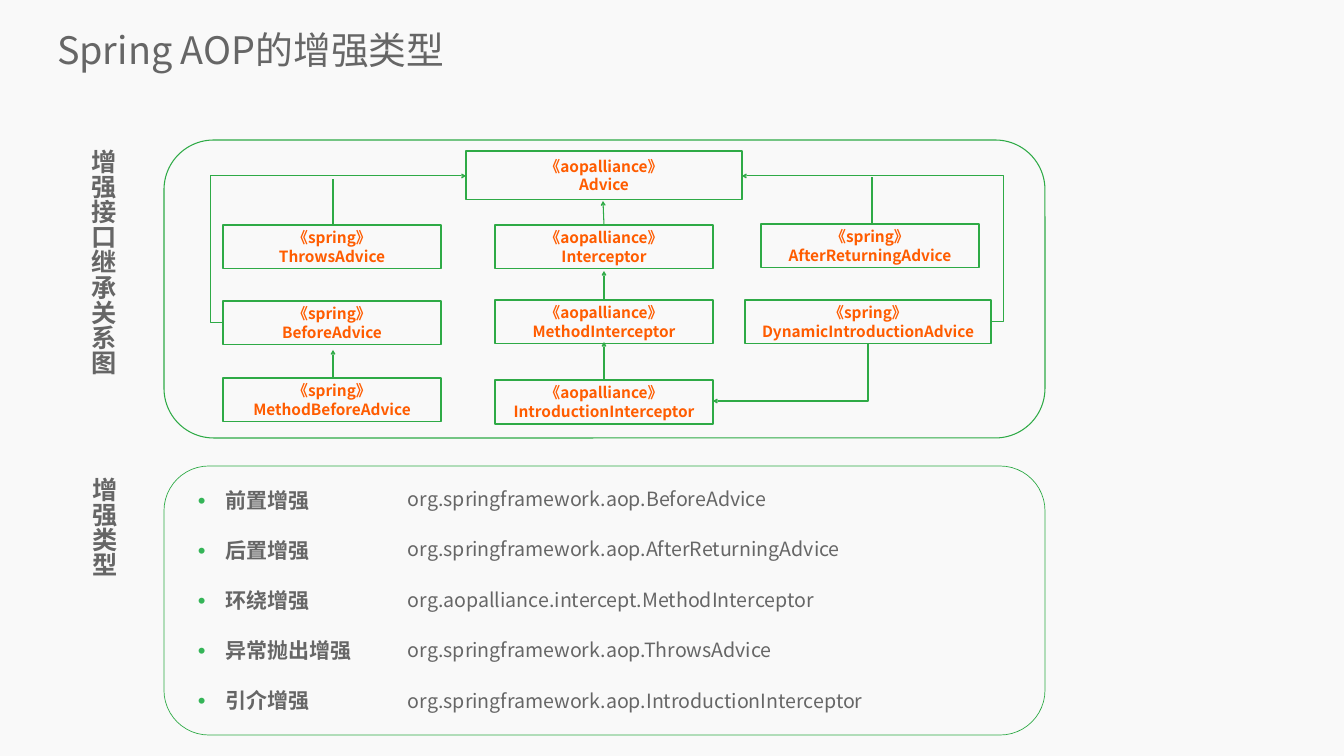
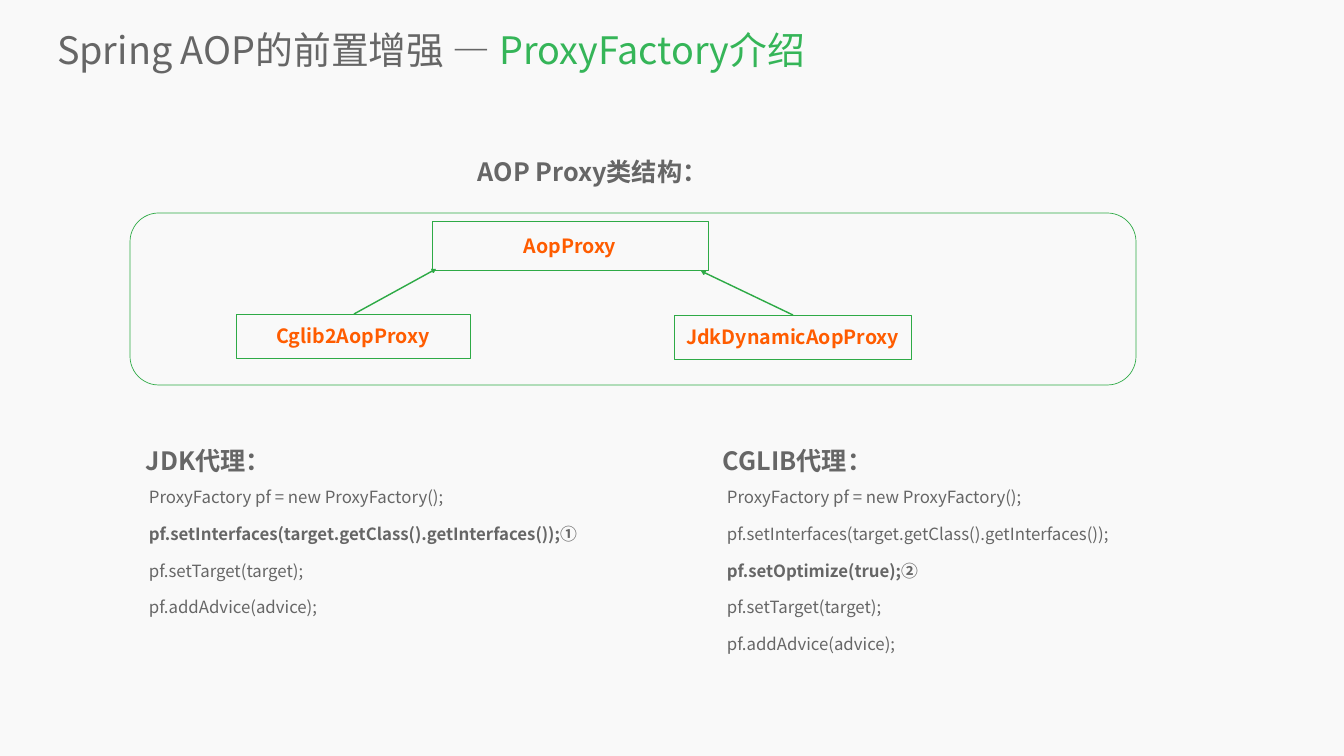
from lxml.etree import SubElement
from pptx import Presentation
from pptx.dml.color import RGBColor
from pptx.enum.shapes import MSO_CONNECTOR, MSO_SHAPE
from pptx.enum.text import MSO_ANCHOR, MSO_AUTO_SIZE, PP_ALIGN
from pptx.oxml.ns import qn
from pptx.util import Emu, Pt

SCALE = 914400 / 50.4  # EMU per pixel
FONT = "Noto Sans CJK SC"
COLORS = {"background": "F9F9F9", "text": "666666", "accent": "35B558",
          "line": "2EAA46", "label": "FF5C00"}
INDENT = 11  # left indent of body text

# Content of slide 1: (stereotype, name, left, top, width, height)
TYPES_TITLE = [("Spring AOP的增强类型", "text")]
ALLIANCE, SPRING = "《aopalliance》", "《spring》"
INTERFACES = [
    (ALLIANCE, "Advice", 466, 151, 276, 49),
    (SPRING, "ThrowsAdvice", 223, 225, 218, 44),
    (SPRING, "BeforeAdvice", 223, 301, 218, 44),
    (SPRING, "MethodBeforeAdvice", 223, 378, 218, 44),
    (ALLIANCE, "Interceptor", 495, 225, 218, 44),
    (ALLIANCE, "MethodInterceptor", 495, 300, 218, 44),
    (ALLIANCE, "IntroductionInterceptor", 495, 380, 218, 44),
    (SPRING, "AfterReturningAdvice", 761, 224, 218, 44),
    (SPRING, "DynamicIntroductionAdvice", 745, 300, 246, 44),
]
# Straight lines: (start, end, arrowhead)
INHERITANCE = [
    ((333, 225), (333, 179), None),
    ((333, 378), (333, 350), "tailEnd"),
    ((604, 225), (603, 201), "tailEnd"),
    ((604, 300), (604, 271), "tailEnd"),
    ((604, 380), (604, 342), "tailEnd"),
    ((872, 225), (872, 177), None),
]
# Elbows: (start, end, arrowhead, preset, bend position)
ELBOWS = [
    ((223, 323), (466, 176), "tailEnd", "bentConnector3", -5200),
    ((991, 322), (742, 176), "tailEnd", "bentConnector3", -5000),
    ((713, 401), (868, 344), "headEnd", "bentConnector2", None),
]
SIDE_LABELS = [("增强接口继承关系图", (74, 138, 56, 295)),
               ("增强类型", (75, 466, 56, 246))]
ADVICE_TYPES = [
    ("前置增强", "org.springframework.aop.BeforeAdvice"),
    ("后置增强", "org.springframework.aop.AfterReturningAdvice"),
    ("环绕增强", "org.aopalliance.intercept.MethodInterceptor"),
    ("异常抛出增强", "org.springframework.aop.ThrowsAdvice"),
    ("引介增强", "org.springframework.aop.IntroductionInterceptor"),
]

# Content of slide 2
PROXY_TITLE = [("Spring AOP的前置增强 — ", "text"), ("ProxyFactory介绍", "accent")]
HEADINGS = [("AOP Proxy类结构：", (467, 144, 246, 39)),
            ("JDK代理：", (135, 433, 196, 39)),
            ("CGLIB代理：", (712, 433, 196, 39))]
PROXIES = [("AopProxy", 432, 221, 276, 49),
           ("Cglib2AopProxy", 236, 314, 234, 44),
           ("JdkDynamicAopProxy", 674, 315, 237, 44)]
PROXY_LINES = [((354, 314), (436, 269)), ((793, 315), (701, 271))]
CREATE = "ProxyFactory pf = new ProxyFactory();"
INTERFACE_CALL = "pf.setInterfaces(target.getClass().getInterfaces());"
FINISH = ["pf.setTarget(target);", "pf.addAdvice(advice);"]
# Code blocks: (lines, index of the bold line, place)
CODE = [([CREATE, INTERFACE_CALL + "①", *FINISH], 1, (138, 479, 535, 190)),
        ([CREATE, INTERFACE_CALL, "pf.setOptimize(true);②", *FINISH], 2,
         (716, 479, 436, 217))]


def px(value):
    return Emu(round(value * SCALE))


def color(name):
    return RGBColor.from_string(COLORS[name])


def style(paragraph, size, name="text", bold=False):
    font = paragraph.font
    font.size, font.bold, font.name = Pt(size), bold, FONT
    font.color.rgb = color(name)
    properties = paragraph._p.pPr.find(qn("a:defRPr"))
    SubElement(properties, qn("a:ea"), typeface=FONT)


def prepare(frame, margin=0, anchor=MSO_ANCHOR.TOP):
    frame.word_wrap, frame.auto_size = True, MSO_AUTO_SIZE.NONE
    frame.vertical_anchor = anchor
    frame.margin_left = frame.margin_right = px(margin)
    frame.margin_top = frame.margin_bottom = px(margin)


def write(frame, lines, size, name="text", bold_lines=(), align=None):
    frame.text = "\n".join(lines)
    for index, paragraph in enumerate(frame.paragraphs):
        paragraph.alignment = align
        style(paragraph, size, name, index in bold_lines)


def add_text(slide, place, lines, size, bold_lines=(), anchor=MSO_ANCHOR.TOP,
             align=None, before=0, left=INDENT, hanging=0):
    frame = slide.shapes.add_textbox(*map(px, place)).text_frame
    prepare(frame, anchor=anchor)
    write(frame, lines, size, bold_lines=bold_lines, align=align)
    for paragraph in frame.paragraphs:
        paragraph.line_spacing = 1.4
        paragraph.space_before = Pt(before)
        paragraph._p.pPr.set("marL", str(px(left)))
        paragraph._p.pPr.set("indent", str(px(-hanging)))
    return frame


def add_bullet(paragraph):
    properties = paragraph._p.pPr
    fill = SubElement(properties, qn("a:buClr"))
    SubElement(fill, qn("a:srgbClr"), val=COLORS["accent"])
    SubElement(properties, qn("a:buSzPct"), val="105000")
    SubElement(properties, qn("a:buFont"), typeface="Arial")
    SubElement(properties, qn("a:buChar"), char="•")
    properties.append(properties.find(qn("a:defRPr")))  # schema order: last


def add_outline(slide, preset, place, width):
    shape = slide.shapes.add_shape(preset, *map(px, place))
    shape.shadow.inherit = False
    shape.fill.background()
    shape.line.color.rgb = color("line")
    shape.line.width = Pt(width)
    return shape


def add_class_box(slide, place, lines, size, width):
    frame = add_outline(slide, MSO_SHAPE.RECTANGLE, place, width).text_frame
    prepare(frame, 3, MSO_ANCHOR.MIDDLE)
    write(frame, lines, size, "label", range(len(lines)), PP_ALIGN.CENTER)


def add_line(slide, start, end, arrow, width, preset="line", bend=None):
    kind = MSO_CONNECTOR.STRAIGHT if preset == "line" else MSO_CONNECTOR.ELBOW
    line = slide.shapes.add_connector(kind, *map(px, start + end))
    line.line.color.rgb = color("line")
    line.line.width = Pt(width)
    properties = line._element.spPr
    geometry = properties.find(qn("a:prstGeom"))
    geometry.set("prst", preset)
    if bend is not None:
        guides = geometry.find(qn("a:avLst"))
        if guides is None:
            guides = SubElement(geometry, qn("a:avLst"))
        SubElement(guides, qn("a:gd"), name="adj1", fmla=f"val {bend}")
    if arrow:
        SubElement(properties.find(qn("a:ln")), qn("a:" + arrow), type="arrow")
    SubElement(properties, qn("a:effectLst"))


def add_slide(presentation, title_runs):
    slide = presentation.slides.add_slide(presentation.slide_layouts[5])
    title = slide.shapes.title
    title.left, title.top, title.width, title.height = map(px, (57, 24, 1268, 51))
    prepare(title.text_frame, anchor=MSO_ANCHOR.MIDDLE)
    paragraph = title.text_frame.paragraphs[0]
    paragraph.alignment = PP_ALIGN.LEFT
    style(paragraph, 54)
    for text, name in title_runs:
        run = paragraph.add_run()
        run.text = text
        run.font.color.rgb = color(name)
    return slide


presentation = Presentation()
presentation.slide_width, presentation.slide_height = px(1344), px(756)
background = presentation.slide_master.background.fill
background.solid()
background.fore_color.rgb = color("background")

# Slide 1: interface hierarchy
slide = add_slide(presentation, TYPES_TITLE)
add_outline(slide, MSO_SHAPE.ROUNDED_RECTANGLE, (164, 140, 881, 298), 1.5)
for stereotype, name, *place in INTERFACES:
    add_class_box(slide, place, [stereotype, name], 22, 1.5)
for start, end, arrow in INHERITANCE:
    add_line(slide, start, end, arrow, 1.5)
for start, end, arrow, preset, bend in ELBOWS:
    add_line(slide, start, end, arrow, 1.5, preset, bend)
for label, place in SIDE_LABELS:
    frame = add_text(slide, place, [label], 36, [0], align=PP_ALIGN.CENTER)
    frame._txBody.bodyPr.set("vert", "eaVert")

# Slide 1: list of advice types
add_outline(slide, MSO_SHAPE.ROUNDED_RECTANGLE, (164, 466, 881, 269), 1)
for row, (label, interface) in enumerate(ADVICE_TYPES):
    frame = add_text(slide, (188, 468 + 50 * row, 206, 55), [label], 30, [0],
                     MSO_ANCHOR.MIDDLE, left=38, hanging=28)
    add_bullet(frame.paragraphs[0])
    add_text(slide, (397, 466 + 50.5 * row, 544, 55), [interface], 28,
             anchor=MSO_ANCHOR.MIDDLE)

# Slide 2: proxy classes and code
slide = add_slide(presentation, PROXY_TITLE)
for heading, place in HEADINGS:
    add_text(slide, place, [heading], 36, [0])
for lines, bold_line, place in CODE:
    add_text(slide, place, lines, 24, [bold_line], before=12)
add_outline(slide, MSO_SHAPE.ROUNDED_RECTANGLE, (130, 213, 1006, 172), 1)
for name, *place in PROXIES:
    add_class_box(slide, place, [name], 28, 1)
for start, end in PROXY_LINES:
    add_line(slide, start, end, "tailEnd", 2)

presentation.save("out.pptx")
